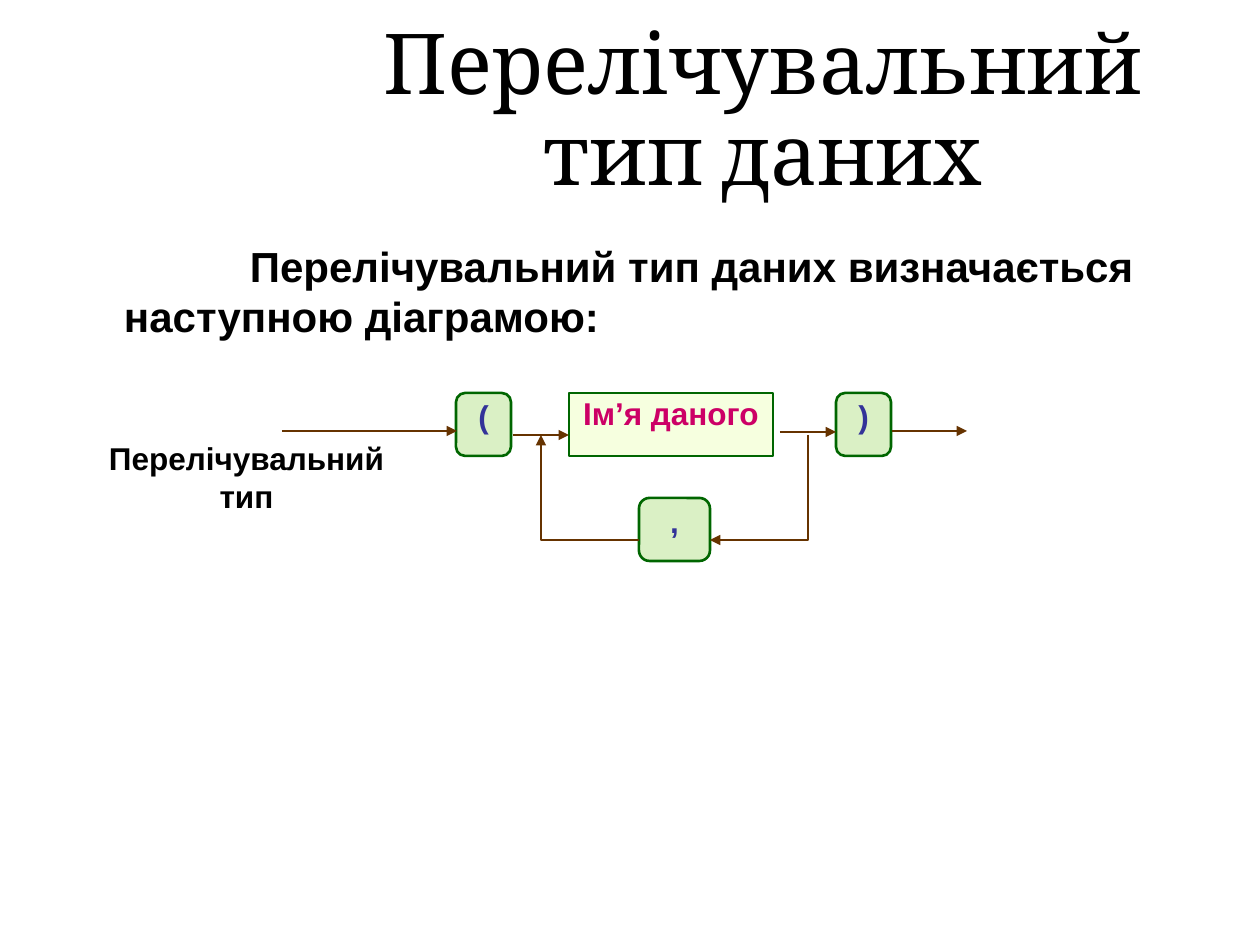
from pptx import Presentation, util as u
from pptx.dml.color import RGBColor
from pptx.enum import shapes, text
from pptx.oxml.ns import qn
from lxml import etree

SIZE = 1260, 945
TITLE = "Перелічувальний тип даних", (302, 45, 922, 135)
BODY = "Перелічувальний тип даних визначається наступною діаграмою:", (64, 234, 1134, 624)
LABEL = "Перелічувальний \nтип", (92, 433, 309, 88)
NODES = [
    ("(", (456, 393, 55, 63), "term"),
    (")", (836, 393, 55, 63), "term"),
    ("Ім’я даного", (569, 393, 204, 63), "name"),
    (",", (639, 498, 71, 63), "term"),
]
ARROWS = [
    [(282, 431), (457, 431)],
    [(513, 435), (569, 435)],
    [(780, 432), (836, 432)],
    [(892, 431), (967, 431)],
    [(808, 435), (808, 540), (710, 540)],
    [(639, 540), (541, 540), (541, 435)],
]
THEME = dict(
    serif="Cambria", sans="Arial", big=48, mid=24, small=18,
    ink="000000", edge="006600", flow="663300", width=1.5,
    term=("B6E38D", "333399", shapes.MSO_SHAPE.ROUNDED_RECTANGLE),
    name=("EFFFC1", "CC0066", shapes.MSO_SHAPE.RECTANGLE),
)
SCALE = u.Inches(1) / 126


def px(*vals):
    return [round(v * SCALE) for v in vals]


def rgb(code):
    return RGBColor.from_string(code)


def write(frame, words, size=THEME["small"], font=THEME["sans"], color=THEME["ink"],
          bold=True, align=text.PP_ALIGN.CENTER, anchor=text.MSO_ANCHOR.TOP,
          pad=(13, 6), wrap=True, left=0, indent=0, before=0, pitch=None):
    frame.word_wrap = wrap
    frame.vertical_anchor = anchor
    frame.margin_left = frame.margin_right = px(pad[0])[0]
    frame.margin_top = frame.margin_bottom = px(pad[1])[0]
    for i, line in enumerate(words.split("\n")):
        par = frame.add_paragraph() if i else frame.paragraphs[0]
        par.alignment = align
        par.space_before = u.Pt(before)
        if pitch:
            par.line_spacing = pitch
        props = par._p.get_or_add_pPr()
        props.set("marL", str(px(left)[0]))
        props.set("indent", str(px(indent)[0]))
        run = par.add_run()
        run.text = line
        run.font.size = u.Pt(size)
        run.font.name = font
        run.font.bold = bold
        run.font.color.rgb = rgb(color)


def box(part, **form):
    words, place = part
    write(slide.shapes.add_textbox(*px(*place)).text_frame, words, **form)


def node(words, place, kind):
    fill, color, form = THEME[kind]
    item = slide.shapes.add_shape(form, *px(*place))
    item.shadow.inherit = False
    item.fill.solid()
    item.fill.fore_color.rgb = rgb(fill)
    tint = item._element.spPr.find(qn("a:solidFill"))[0]
    etree.SubElement(tint, qn("a:alpha")).set("val", "50000")
    item.line.color.rgb = rgb(THEME["edge"])
    item.line.width = u.Pt(THEME["width"])
    write(item.text_frame, words, color=color, pad=(1, 1))


def arrow(points):
    if len(points) == 2:
        ends = px(*points[0], *points[1])
        item = slide.shapes.add_connector(shapes.MSO_CONNECTOR.STRAIGHT, *ends)
    else:
        pen = slide.shapes.build_freeform(*points[0], scale=SCALE)
        pen.add_line_segments(points[1:], close=False)
        item = pen.convert_to_shape()
        item.fill.background()
    item.line.color.rgb = rgb(THEME["flow"])
    item.line.width = u.Pt(THEME["width"])
    props = item._element.spPr
    tail = etree.SubElement(props.find(qn("a:ln")), qn("a:tailEnd"))
    tail.set("type", "triangle")
    etree.SubElement(props, qn("a:effectLst"))


deck = Presentation()
deck.slide_width, deck.slide_height = px(*SIZE)
slide = deck.slides.add_slide(deck.slide_layouts[6])

box(TITLE, size=THEME["big"], font=THEME["serif"], bold=False, pad=(0, 0),
    anchor=text.MSO_ANCHOR.MIDDLE, pitch=0.9)
box(BODY, size=THEME["mid"], align=text.PP_ALIGN.LEFT, left=47, indent=126, before=6)
for part in NODES:
    node(*part)
for points in ARROWS:
    arrow(points)
box(LABEL, anchor=text.MSO_ANCHOR.MIDDLE, wrap=False)

deck.save("out.pptx")
